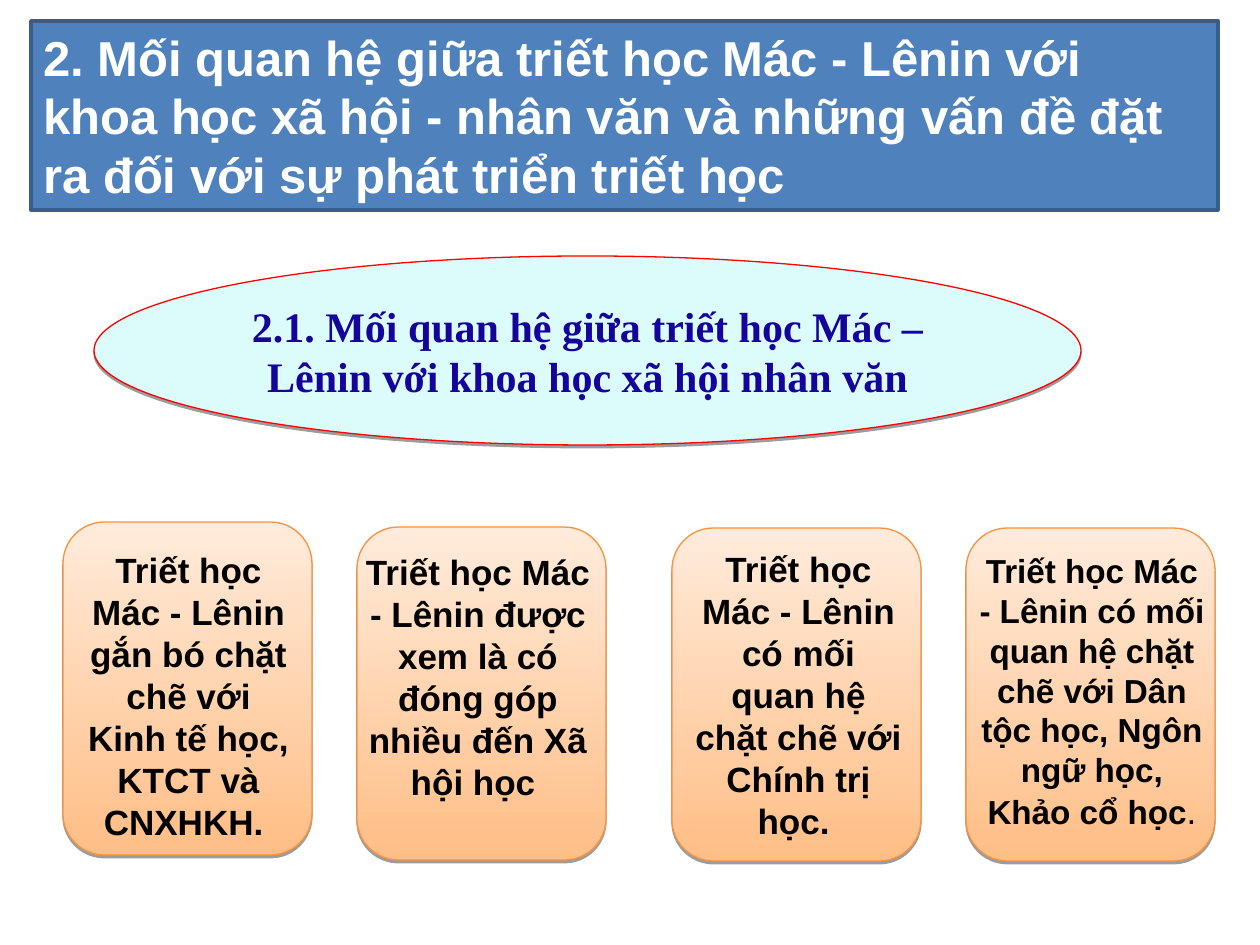
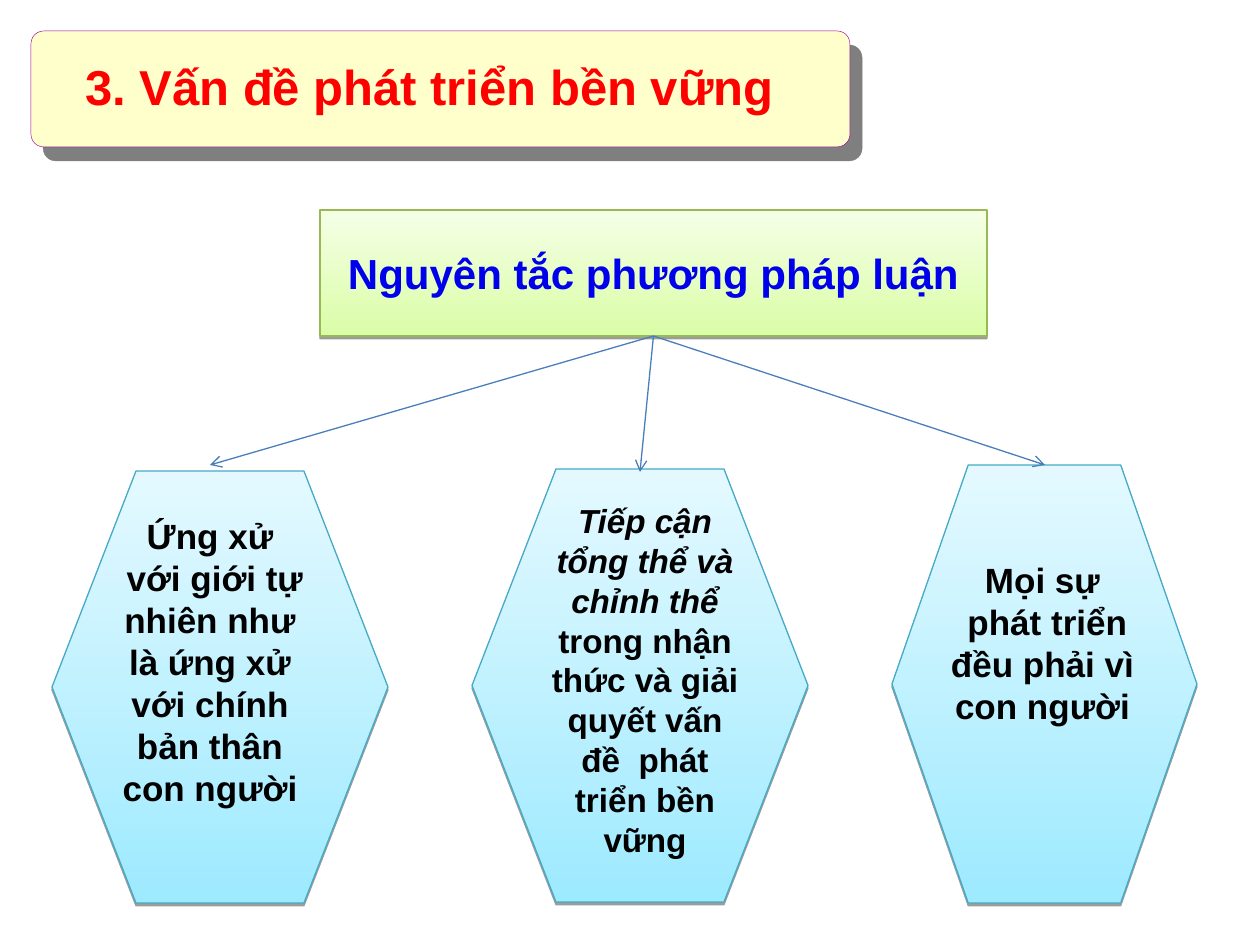
import pptx
import pptx.util
import pptx.dml.color
import pptx.enum.shapes
import pptx.enum.text
import pptx.oxml.ns
from dataclasses import dataclass
from lxml import etree

SHAPE = pptx.enum.shapes.MSO_SHAPE
ALIGN = pptx.enum.text.PP_ALIGN
ANCHOR = pptx.enum.text.MSO_ANCHOR
AUTO_SIZE = pptx.enum.text.MSO_AUTO_SIZE
qn = pptx.oxml.ns.qn


@dataclass(frozen=True)
class Theme:
    sans: str = "Arial"
    serif: str = "Times New Roman"
    title_size: int = 28
    heading_size: int = 24
    body_size: int = 20
    tight_size: int = 19
    white: str = "FFFFFF"
    ink: str = "000000"
    band: tuple = ("4F81BD", "385D8A", 2)
    oval: tuple = ("DCFCFB", "FF0000", 0.75)
    card: tuple = (("FFBE86", "FFEBDB"), "F69240", 0.75)
    plaque: tuple = ("FFFFCC", "990099", 0.25)
    principle: tuple = (("DAFDA7", "F5FFE6"), "98B954", 0.75)
    hexagon: tuple = (("9EEAFF", "E4F9FF"), "46AAC5", 0.75)
    oval_text: str = "15039B"
    plaque_text: str = "FF0000"
    principle_text: str = "0000EA"
    arrow: str = "4A7EBB"
    soft_shadow: tuple = (1.6, 90, 38)
    deep_shadow: tuple = (10.6, 49, 50)


THEME = Theme()
SLIDE_SIZE = (1260, 945)
EMU_PER_PX = 914400 / 126

BAND = ((31, 21, 1187, 189),
        "2. Mối quan hệ giữa triết học Mác - Lênin với khoa học xã hội - nhân văn "
        "và những vấn đề đặt ra đối với sự phát triển triết học")
OVAL = ((94, 256, 987, 189),
        "2.1. Mối quan hệ giữa triết học Mác – Lênin với khoa học xã hội nhân văn")

CARD_SIZE = (249, 333)
CARDS = [
    ((63, 522), (73, 542, 231, 307), THEME.body_size,
     ["Triết học Mác - Lênin gắn bó chặt chẽ với Kinh tế học, KTCT và CNXHKH. "]),
    ((357, 527), (352, 544, 252, 265), THEME.body_size,
     ["Triết học Mác - Lênin được xem là có đóng góp nhiều đến Xã hội học "]),
    ((672, 528), (683, 541, 231, 307), THEME.body_size,
     ["Triết học Mác - Lênin có mối quan hệ chặt chẽ với Chính trị học. "]),
    ((966, 528), (966, 544, 252, 295), THEME.tight_size,
     [[("Triết học Mác - Lênin có mối quan hệ chặt chẽ với Dân tộc học, "
        "Ngôn ngữ học, Khảo cổ học", {}),
       (".", {"size": pptx.util.Pt(THEME.body_size), "bold": False})]]),
]

PLAQUE = ((31, 31, 819, 116), (73, 50, 735, 72), "3. Vấn đề phát triển bền vững")
PRINCIPLE = ((320, 210, 667, 126), "Nguyên tắc phương pháp luận")
APPROACHES = [
    ((52, 471, 336, 432), (100, 508, 220, 307), (210, 465), THEME.body_size,
     ["Ứng xử", " với giới tự nhiên như là ứng xử với chính bản thân con người"]),
    ((472, 469, 336, 433), (535, 494, 220, 372), (640, 472), THEME.tight_size,
     [[("Tiếp cận tổng thể và chỉnh thể", {"italic": True}),
       (" trong nhận thức và giải quyết vấn đề  phát triển bền vững", {})]]),
    ((892, 465, 305, 438), (927, 552, 231, 181), (1045, 465), THEME.body_size,
     ["Mọi sự", " phát triển đều phải vì con người"]),
]


def px(*lengths):
    return [pptx.util.Emu(round(length * EMU_PER_PX)) for length in lengths]


def rgb(color):
    return pptx.dml.color.RGBColor.from_string(color)


def add_shadow(shape, shadow):
    distance, angle, opacity = shadow
    effects = shape._element.spPr.find(qn("a:effectLst"))
    outer = etree.SubElement(effects, qn("a:outerShdw"), blurRad="0",
                             dist=str(pptx.util.Pt(distance)), dir=str(angle * 60000),
                             algn="ctr", rotWithShape="0")
    color = etree.SubElement(outer, qn("a:srgbClr"), val=THEME.ink)
    etree.SubElement(color, qn("a:alpha"), val=str(opacity * 1000))


def add_panel(slide, kind, box, style, shadow=None):
    fill, line, width = style
    panel = slide.shapes.add_shape(kind, *px(*box))
    panel.shadow.inherit = False
    if shadow:
        add_shadow(panel, shadow)
    if isinstance(fill, tuple):
        panel.fill.gradient()
        panel.fill.gradient_angle = 90
        for stop, color in zip(panel.fill.gradient_stops, fill):
            stop.color.rgb = rgb(color)
    else:
        panel.fill.solid()
        panel.fill.fore_color.rgb = rgb(fill)
    panel.line.color.rgb = rgb(line)
    panel.line.width = pptx.util.Pt(width)
    return panel


def write(shape, paragraphs, size, color=THEME.ink, font=THEME.sans,
          align=ALIGN.CENTER, anchor=ANCHOR.TOP):
    frame = shape.text_frame
    frame.word_wrap = True
    frame.vertical_anchor = anchor
    for index, content in enumerate(paragraphs):
        paragraph = frame.add_paragraph() if index else frame.paragraphs[0]
        paragraph.alignment = align
        paragraph.font.name = font
        paragraph.font.size = pptx.util.Pt(size)
        paragraph.font.bold = True
        paragraph.font.color.rgb = rgb(color)
        for text, changes in [(content, {})] if isinstance(content, str) else content:
            run = paragraph.add_run()
            run.text = text
            for attribute, value in changes.items():
                setattr(run.font, attribute, value)


def add_label(slide, box, paragraphs, size, **look):
    label = slide.shapes.add_textbox(*px(*box))
    write(label, paragraphs, size, **look)
    label.text_frame.auto_size = AUTO_SIZE.SHAPE_TO_FIT_TEXT


def add_arrow(slide, source, tip):
    arrow = slide.shapes.add_connector(
        pptx.enum.shapes.MSO_CONNECTOR.STRAIGHT, 0, 0, *px(*tip))
    arrow.begin_connect(source, 2)
    arrow.line.color.rgb = rgb(THEME.arrow)
    arrow.line.width = pptx.util.Pt(0.75)
    etree.SubElement(arrow.line._get_or_add_ln(), qn("a:tailEnd"), type="arrow")
    etree.SubElement(arrow._element.spPr, qn("a:effectLst"))


def build_relations(slide):
    box, text = BAND
    band = add_panel(slide, SHAPE.RECTANGLE, box, THEME.band)
    write(band, [text], THEME.title_size, THEME.white, align=ALIGN.LEFT)

    box, text = OVAL
    oval = add_panel(slide, SHAPE.OVAL, box, THEME.oval, THEME.soft_shadow)
    write(oval, [text], THEME.heading_size, THEME.oval_text, THEME.serif,
          anchor=ANCHOR.MIDDLE)

    for corner, label_box, size, paragraphs in CARDS:
        add_panel(slide, SHAPE.ROUNDED_RECTANGLE, corner + CARD_SIZE, THEME.card,
                  THEME.soft_shadow)
        add_label(slide, label_box, paragraphs, size)


def build_principles(slide):
    box, label_box, text = PLAQUE
    plaque = add_panel(slide, SHAPE.ROUNDED_RECTANGLE, box, THEME.plaque,
                       THEME.deep_shadow)
    plaque.adjustments[0] = 0.11
    add_label(slide, label_box, [text], THEME.title_size, color=THEME.plaque_text,
              align=ALIGN.LEFT)

    box, text = PRINCIPLE
    principle = add_panel(slide, SHAPE.RECTANGLE, box, THEME.principle,
                          THEME.soft_shadow)
    write(principle, [text], THEME.heading_size, THEME.principle_text,
          anchor=ANCHOR.MIDDLE)

    for box, label_box, tip, size, paragraphs in APPROACHES:
        approach = add_panel(slide, SHAPE.HEXAGON, box, THEME.hexagon,
                             THEME.soft_shadow)
        approach.adjustments[0] = 0.25
        add_label(slide, label_box, paragraphs, size)
        add_arrow(slide, principle, tip)


def main():
    deck = pptx.Presentation()
    deck.slide_width, deck.slide_height = px(*SLIDE_SIZE)
    for build in (build_relations, build_principles):
        build(deck.slides.add_slide(deck.slide_layouts[6]))
    deck.save("out.pptx")


if __name__ == "__main__":
    main()
